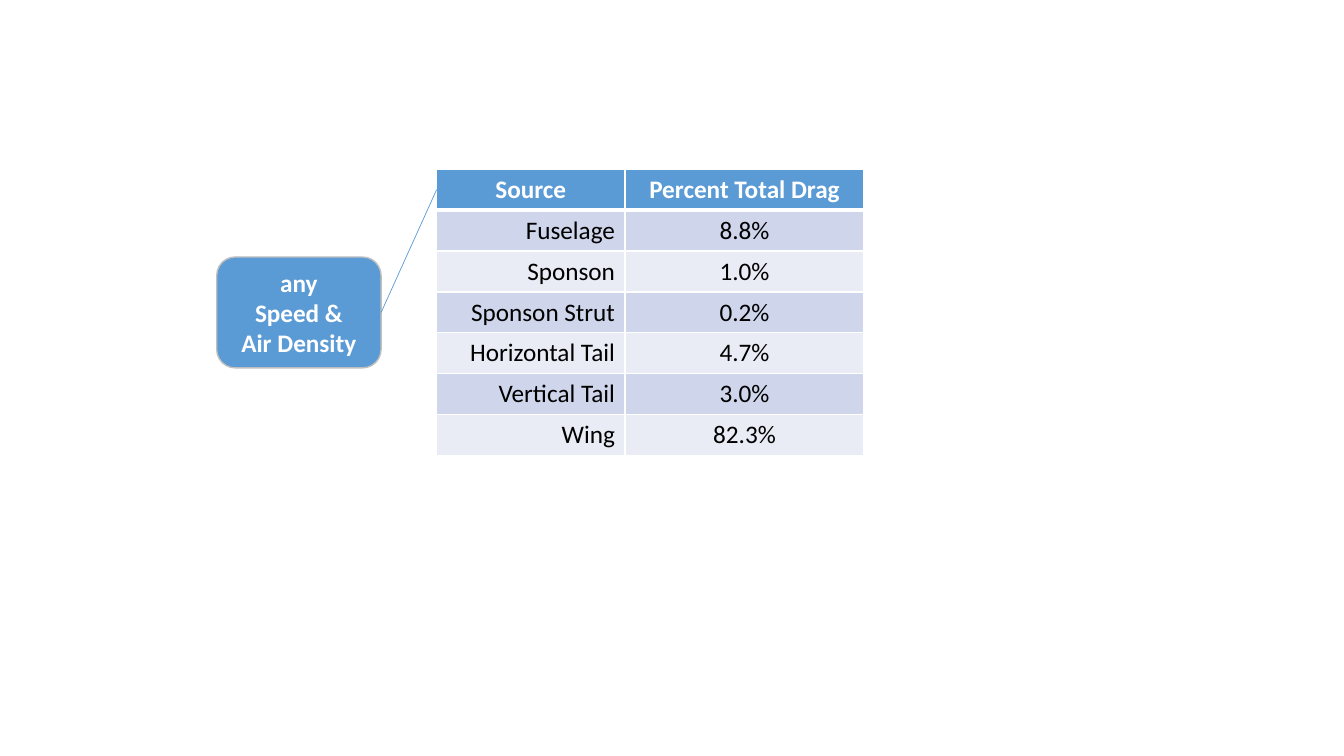
import dataclasses
import typing

import lxml.etree
import pptx
import pptx.dml.color
import pptx.enum.shapes
import pptx.enum.text
import pptx.oxml.ns
import pptx.util

Inches = pptx.util.Inches
Point = pptx.util.Pt
Color = pptx.dml.color.RGBColor
Align = pptx.enum.text.PP_ALIGN
qualify = pptx.oxml.ns.qn

BLUE = Color(0x5B, 0x9B, 0xD5)
GRAY = Color(0xBF, 0xBF, 0xBF)
WHITE = Color(0xFF, 0xFF, 0xFF)
BLACK = Color(0x00, 0x00, 0x00)
BANDS = (Color(0xCF, 0xD5, 0xEA), Color(0xE9, 0xEB, 0xF5))

SLIDE_WIDTH, SLIDE_HEIGHT = 13.33, 7.5
COLUMN_WIDTHS = (1.87, 2.37)
TABLE_LEFT, TABLE_TOP, TABLE_HEIGHT = 4.33, 1.68, 2.84
BOX_LEFT, BOX_WIDTH, BOX_HEIGHT = 2.15, 1.63, 1.1


@dataclasses.dataclass(frozen=True)
class DragRow:
    """One line of the drag table."""

    source: str
    percent: str


HEADER = DragRow("Source", "Percent Total Drag")
DRAG_ROWS = (
    DragRow("Fuselage", "8.8%"),
    DragRow("Sponson", "1.0%"),
    DragRow("Sponson Strut", "0.2%"),
    DragRow("Horizontal Tail", "4.7%"),
    DragRow("Vertical Tail", "3.0%"),
    DragRow("Wing", "82.3%"),
)
ROW_HEIGHT = TABLE_HEIGHT / (len(DRAG_ROWS) + 1)


def write_text(frame: typing.Any, text: str, color: Color, bold: bool, align: Align) -> None:
    """Fill a text frame with evenly formatted paragraphs."""
    frame.text = text
    font_format = {"name": "Calibri", "size": Point(18), "bold": bold}
    for para in frame.paragraphs:
        para.alignment = align
        for span in para.runs:
            for key, value in font_format.items():
                setattr(span.font, key, value)
            span.font.color.rgb = color


def add_borders(cell: typing.Any, widths: dict[str, float]) -> None:
    """Give a cell white borders, with a width in points for each side."""
    properties = cell._tc.get_or_add_tcPr()
    for side, width in widths.items():
        border = lxml.etree.SubElement(properties, qualify(f"a:ln{side}"), w=str(Point(width)))
        fill = lxml.etree.SubElement(border, qualify("a:solidFill"))
        lxml.etree.SubElement(fill, qualify("a:srgbClr"), val=str(WHITE))


def add_drag_table(page: typing.Any) -> None:
    """Draw the drag table with its header and banded rows."""
    rows = (HEADER, *DRAG_ROWS)
    table = page.shapes.add_table(
        len(rows), len(COLUMN_WIDTHS), Inches(TABLE_LEFT), Inches(TABLE_TOP),
        Inches(sum(COLUMN_WIDTHS)), Inches(TABLE_HEIGHT),
    ).table
    for column, width in zip(table.columns, COLUMN_WIDTHS):
        column.width = Inches(width)
    for index, row in enumerate(rows):
        table.rows[index].height = Inches(ROW_HEIGHT)
        is_header = index == 0
        top, bottom = (3 if index == 1 else 1), (3 if is_header else 1)
        source_align = Align.CENTER if is_header else Align.RIGHT
        for column, (text, align) in enumerate(
            ((row.source, source_align), (row.percent, Align.CENTER))
        ):
            cell = table.cell(index, column)
            add_borders(cell, {"L": 1, "R": 1, "T": top, "B": bottom})
            cell.fill.solid()
            cell.fill.fore_color.rgb = BLUE if is_header else BANDS[(index - 1) % 2]
            write_text(cell.text_frame, text, WHITE if is_header else BLACK, is_header, align)


def add_condition_box(page: typing.Any) -> typing.Any:
    """Draw the rounded box, level with the middle of the table."""
    top = TABLE_TOP + (TABLE_HEIGHT - BOX_HEIGHT) / 2
    box = page.shapes.add_shape(
        pptx.enum.shapes.MSO_SHAPE.ROUNDED_RECTANGLE,
        Inches(BOX_LEFT), Inches(top), Inches(BOX_WIDTH), Inches(BOX_HEIGHT),
    )
    box.shadow.inherit = False
    box.fill.solid()
    box.fill.fore_color.rgb = BLUE
    box.line.color.rgb = GRAY
    box.line.width = Point(1)
    box.text_frame.vertical_anchor = pptx.enum.text.MSO_ANCHOR.MIDDLE
    write_text(box.text_frame, "any\nSpeed &\nAir Density", WHITE, True, Align.CENTER)
    return box


def add_header_link(page: typing.Any, box: typing.Any) -> None:
    """Join the right side of the box to the middle of the header row."""
    link = page.shapes.add_connector(
        pptx.enum.shapes.MSO_CONNECTOR.STRAIGHT,
        box.left + box.width, box.top + box.height // 2,
        Inches(TABLE_LEFT), Inches(TABLE_TOP + ROW_HEIGHT / 2),
    )
    link.begin_connect(box, 3)
    link.line.color.rgb = BLUE
    link.line.width = Point(0.5)
    lxml.etree.SubElement(link._element.spPr, qualify("a:effectLst"))


def main() -> None:
    """Build the slide and save it."""
    deck = pptx.Presentation()
    deck.slide_width, deck.slide_height = Inches(SLIDE_WIDTH), Inches(SLIDE_HEIGHT)
    page = deck.slides.add_slide(deck.slide_layouts.get_by_name("Blank"))
    box = add_condition_box(page)
    add_drag_table(page)
    add_header_link(page, box)
    deck.save("out.pptx")


main()
